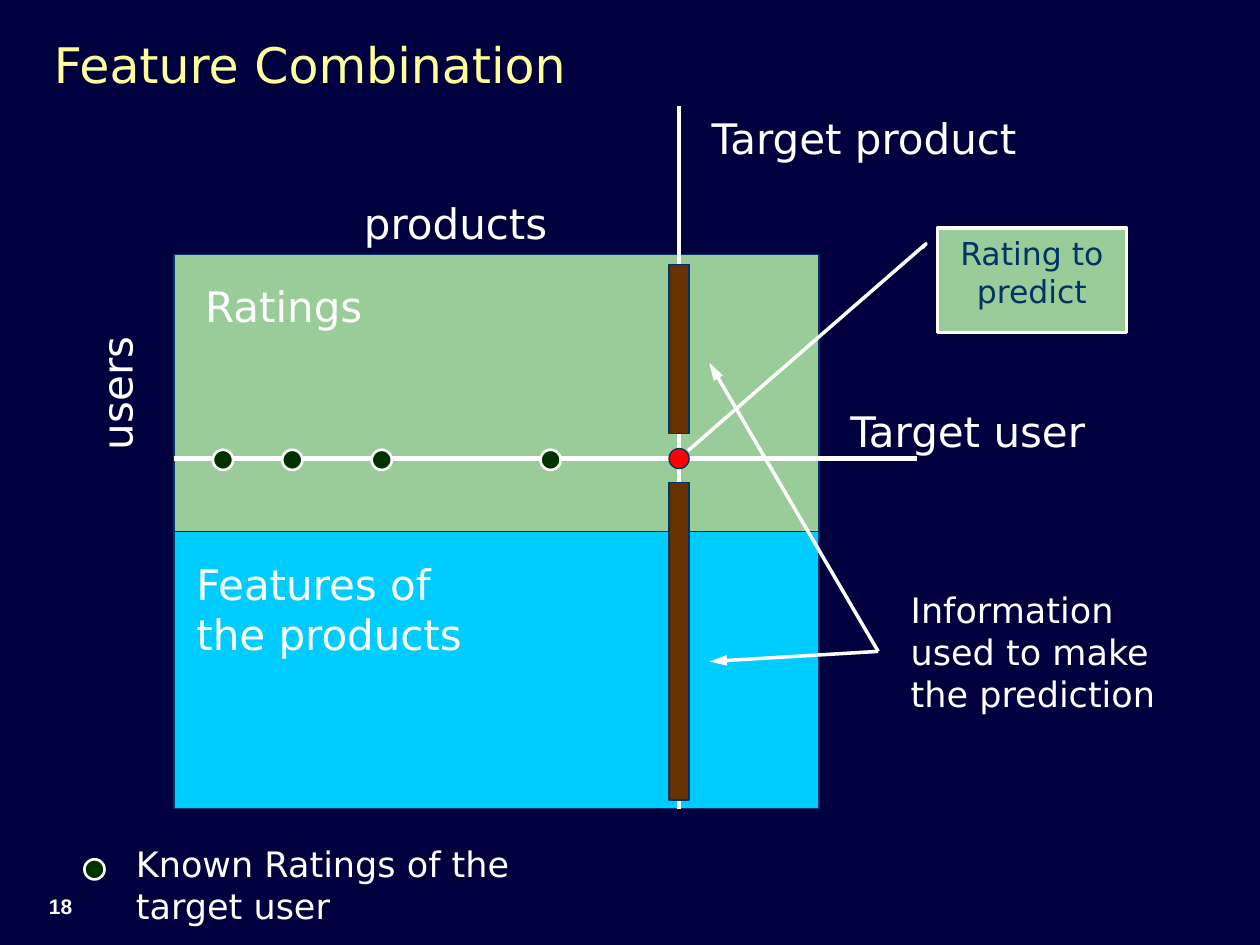
"""Build the Feature Combination slide: a ratings and features matrix with its target rating."""
from lxml import etree
from pptx import Presentation
from pptx.dml.color import RGBColor
from pptx.enum.shapes import MSO_CONNECTOR, MSO_SHAPE
from pptx.enum.text import MSO_ANCHOR, PP_ALIGN
from pptx.oxml.ns import qn
from pptx.util import Inches, Pt

RECTANGLE, OVAL, CALLOUT = MSO_SHAPE.RECTANGLE, MSO_SHAPE.OVAL, MSO_SHAPE.LINE_CALLOUT_2
STRAIGHT = MSO_CONNECTOR.STRAIGHT
TOP, MIDDLE, BOTTOM = MSO_ANCHOR.TOP, MSO_ANCHOR.MIDDLE, MSO_ANCHOR.BOTTOM
LEFT, CENTER = PP_ALIGN.LEFT, PP_ALIGN.CENTER

NIGHT = RGBColor(0x00, 0x00, 0x3E)
WHITE = RGBColor(0xFF, 0xFF, 0xFF)
YELLOW = RGBColor(0xFF, 0xFF, 0x99)
GREEN = RGBColor(0x99, 0xCC, 0x99)
DARK_GREEN = RGBColor(0x00, 0x33, 0x00)
CYAN = RGBColor(0x00, 0xCC, 0xFF)
BROWN = RGBColor(0x66, 0x33, 0x00)
RED = RGBColor(0xFF, 0x00, 0x00)
NAVY = RGBColor(0x00, 0x33, 0x66)
FONT = "DejaVu Sans"

MATRIX_LEFT, MATRIX_TOP, MATRIX_WIDTH = 1.38, 2.02, 5.12
PART_HEIGHT = 2.2
MATRIX_BOTTOM = MATRIX_TOP + 2 * PART_HEIGHT
PRODUCT_X, USER_Y = 5.39, 3.64
MARK = 0.16
ARROW_START = (6.97, 5.17)

MATRIX_PARTS = [GREEN, CYAN]
AXES = [
    ((MATRIX_LEFT, USER_Y), (7.28, USER_Y)),
    ((PRODUCT_X, MATRIX_BOTTOM), (PRODUCT_X, 0.84)),
]
USED_BARS = [(2.1, 1.34), (3.83, 2.52)]
KNOWN_RATINGS = [(x, 3.65) for x in (1.77, 2.32, 3.03, 4.37)]
LEGEND_MARK = (0.75, 6.9)
ARROW_TIPS = [(5.63, 5.25), (5.63, 2.88)]
CALLOUT_BOX = (7.44, 1.81, 1.5, 0.83)
CALLOUT_POINTS = (0.19, -0.08, 0.15, -0.06, 2.13, -1.32)

LABELS = [
    ("users", (0.25, 2.75, 1.34, 0.5), 24, 270),
    ("products", (2.79, 1.52, 2.52, 0.5), 24, 0),
    ("Ratings", (1.53, 2.18, 2.52, 0.5), 24, 0),
    ("Features of the products", (1.46, 4.38, 2.52, 0.9), 24, 0),
    ("Target user", (6.65, 3.17, 2.52, 0.5), 24, 0),
    ("Target product", (5.55, 0.84, 2.99, 0.5), 24, 0),
    ("Known Ratings of the target user", (0.98, 6.64, 4.09, 0.77), 20, 0),
    ("Information used to make the prediction", (7.13, 4.62, 2.36, 1.1), 20, 0),
]


def write(shape, text, size, color=WHITE, anchor=TOP, align=LEFT, name=FONT, bold=False):
    frame = shape.text_frame
    frame.word_wrap = True
    frame.vertical_anchor = anchor
    paragraph = frame.paragraphs[0]
    paragraph.alignment = align
    run = paragraph.add_run()
    run.text = text
    run.font.color.rgb = color
    for attribute, value in {"name": name, "size": Pt(size), "bold": bold}.items():
        setattr(run.font, attribute, value)
    return paragraph


def add_text(slide, text, box, size, rotation=0, **options):
    shape = slide.shapes.add_textbox(*map(Inches, box))
    shape.rotation = rotation
    return write(shape, text, size, **options)


def add_block(slide, kind, box, fill, line=NAVY, width=0.75):
    shape = slide.shapes.add_shape(kind, *map(Inches, box))
    shape.shadow.inherit = False
    shape.fill.solid()
    shape.fill.fore_color.rgb = fill
    shape.line.color.rgb = line
    shape.line.width = Pt(width)
    return shape


def add_mark(slide, center, fill, **line):
    x, y = center
    add_block(slide, OVAL, (x - MARK / 2, y - MARK / 2, MARK, MARK), fill, **line)


def add_line(slide, start, end, width, arrow=False):
    connector = slide.shapes.add_connector(STRAIGHT, *map(Inches, start + end))
    connector.line.color.rgb = WHITE
    connector.line.width = Pt(width)
    properties = connector._element.spPr
    if arrow:
        outline = properties.find(qn("a:ln"))
        etree.SubElement(outline, qn("a:tailEnd"), type="triangle", w="med", len="lg")
    etree.SubElement(properties, qn("a:effectLst"))


def main():
    presentation = Presentation()
    presentation.slide_width, presentation.slide_height = Inches(10), Inches(7.5)
    slide = presentation.slides.add_slide(presentation.slide_layouts[6])
    background = slide.background.fill
    background.solid()
    background.fore_color.rgb = NIGHT

    add_text(slide, "18", (0.29, 7.04, 0.73, 0.3), 12, anchor=BOTTOM, name="Arial", bold=True)
    title = add_text(slide, "Feature Combination", (0.33, 0.08, 8.6, 0.92), 28,
                     color=YELLOW, anchor=MIDDLE)
    title.line_spacing = 0.9

    for row, color in enumerate(MATRIX_PARTS):
        top = MATRIX_TOP + row * PART_HEIGHT
        add_block(slide, RECTANGLE, (MATRIX_LEFT, top, MATRIX_WIDTH, PART_HEIGHT), color)
    for start, end in AXES:
        add_line(slide, start, end, 2.5)
    for top, height in USED_BARS:
        add_block(slide, RECTANGLE, (PRODUCT_X - MARK / 2, top, MARK, height), BROWN)

    add_mark(slide, (PRODUCT_X, USER_Y), RED)
    for center in KNOWN_RATINGS + [LEGEND_MARK]:
        add_mark(slide, center, DARK_GREEN, line=WHITE, width=1.5)

    callout = add_block(slide, CALLOUT, CALLOUT_BOX, GREEN, WHITE, 2)
    for index, value in enumerate(CALLOUT_POINTS):
        callout.adjustments[index] = value
    write(callout, "Rating to predict", 18, NAVY, align=CENTER)

    for text, box, size, rotation in LABELS:
        add_text(slide, text, box, size, rotation)
    for tip in ARROW_TIPS:
        add_line(slide, ARROW_START, tip, 2, arrow=True)

    presentation.save("out.pptx")


if __name__ == "__main__":
    main()
